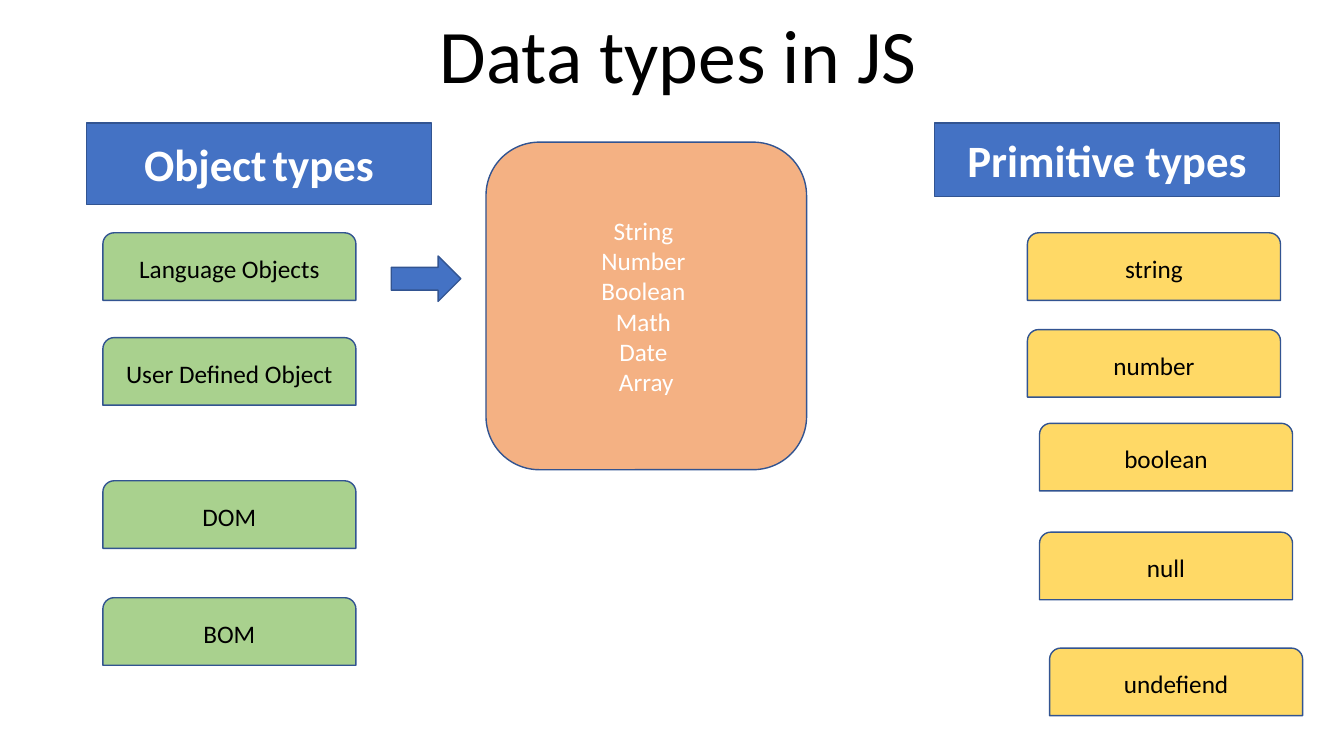
from pptx import Presentation
from pptx.dml.color import RGBColor
from pptx.enum.shapes import MSO_SHAPE
from pptx.enum.text import MSO_ANCHOR, PP_ALIGN
from pptx.util import Pt

PX = 9144  # 100 px to the inch
RECT = MSO_SHAPE.RECTANGLE
TAB = MSO_SHAPE.ROUND_2_SAME_RECTANGLE
ROUNDED = MSO_SHAPE.ROUNDED_RECTANGLE
ARROW = MSO_SHAPE.RIGHT_ARROW
CENTER = PP_ALIGN.CENTER
MIDDLE, BOTTOM = MSO_ANCHOR.MIDDLE, MSO_ANCHOR.BOTTOM
COLORS = {
    "blue": "4472C4",
    "outline": "325491",
    "green": "A9D18E",
    "yellow": "FFD966",
    "orange": "F4B183",
    "black": "000000",
    "white": "FFFFFF",
}

deck = Presentation()
deck.slide_width, deck.slide_height = 1333 * PX, 750 * PX
page = deck.slides.add_slide(deck.slide_layouts[6])


def add_box(kind, left, top, width, height, fill):
    box = page.shapes.add_shape(kind, left * PX, top * PX, width * PX, height * PX)
    box.shadow.inherit = False
    box.fill.solid()
    box.fill.fore_color.rgb = RGBColor.from_string(COLORS[fill])
    box.line.color.rgb = RGBColor.from_string(COLORS["outline"])
    box.line.width = Pt(1)
    return box


def write(box, pieces, color, anchor=MIDDLE):
    """Fill the box with one centred paragraph of (text, size, bold) pieces."""
    frame = box.text_frame
    frame.word_wrap = True
    frame.vertical_anchor = anchor
    para = frame.paragraphs[0]
    para.alignment = CENTER
    for number, (text, size, bold) in enumerate(pieces):
        if text.endswith("|"):
            text = text[:-1]
            break_after = True
        else:
            break_after = False
        span = para.add_run()
        span.text = text
        span.font.name = "Calibri"
        span.font.size = Pt(size)
        span.font.bold = bold
        span.font.color.rgb = RGBColor.from_string(COLORS[color])
        if break_after:
            para.add_line_break()


# Title
title = page.shapes.add_textbox(181 * PX, 23 * PX, 1000 * PX, 81 * PX)
write(title, [("Data types in JS ", 54, False)], "black", BOTTOM)
title.text_frame.paragraphs[0].line_spacing = 0.9

# Column headings
primitive_heading = add_box(RECT, 927, 122, 342, 73, "blue")
write(primitive_heading, [("Primitive types", 32, True)], "white")
object_heading = add_box(RECT, 86, 122, 342, 81, "blue")
write(object_heading, [("Object", 32, True), (" ", 18, False), ("types", 32, True)], "white")

# Type tabs under each heading
type_tabs = {
    "yellow": [
        ("string", 1019, 231),
        ("number", 1019, 327),
        ("boolean", 1031, 420),
        ("null", 1031, 528),
        ("undefiend", 1041, 643),
    ],
    "green": [
        ("Language Objects", 102, 231),
        ("User Defined Object", 102, 335),
        ("DOM", 102, 477),
        ("BOM", 102, 593),
    ],
}
for fill, tabs in type_tabs.items():
    for label, left, top in tabs:
        write(add_box(TAB, left, top, 251, 67, fill), [(label, 18, False)], "black")

# Arrow to the list of language objects
add_box(ARROW, 388, 254, 69, 45, "blue")
language_objects = add_box(ROUNDED, 482, 141, 318, 325, "orange")
object_names = ["String |", "Number |", "Boolean |", "Math |", "Date |", "Array"]
write(language_objects, [(name, 18, False) for name in object_names], "white")

deck.save("out.pptx")
